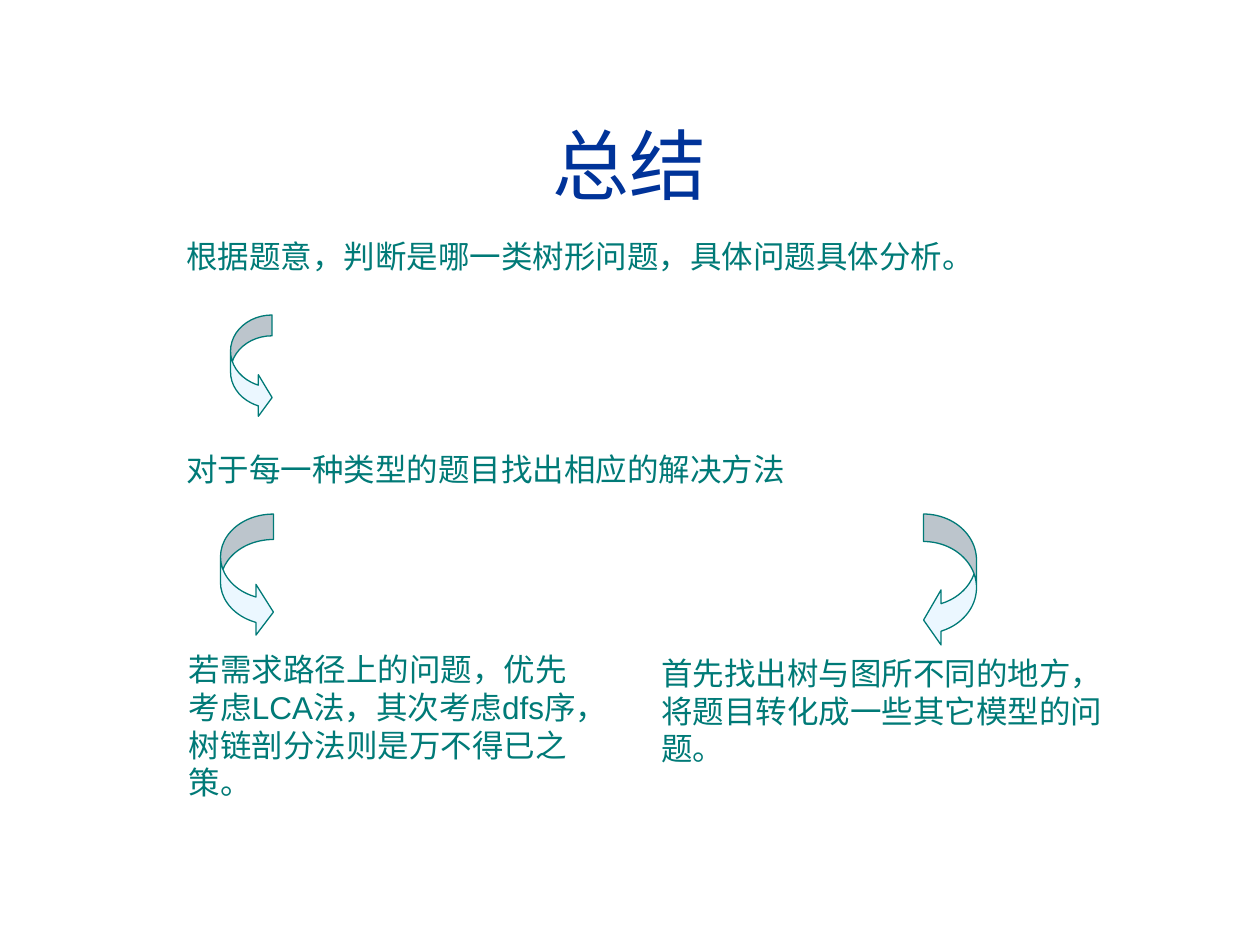
import pptx
import pptx.dml.color
import pptx.enum.shapes
import pptx.enum.text
import pptx.util

Inches = pptx.util.Inches
Pt = pptx.util.Pt
RGBColor = pptx.dml.color.RGBColor
SHAPE = pptx.enum.shapes.MSO_SHAPE
ALIGN = pptx.enum.text.PP_ALIGN
ANCHOR = pptx.enum.text.MSO_ANCHOR

NAVY = RGBColor(0x00, 0x33, 0x99)
TEAL = RGBColor(0x00, 0x7A, 0x77)
PALE = RGBColor(0xEB, 0xF7, 0xFF)

TITLE = {"name": "Arial", "size": Pt(44)}
BODY = {"name": "Arial", "size": Pt(18)}

STEPS = [
    ("根据题意，判断是哪一类树形问题，具体问题具体分析。", (1.38, 1.83, 7.62, 0.4), True),
    ("对于每一种类型的题目找出相应的解决方法", (1.38, 3.52, 4.95, 0.4), False),
    ("若需求路径上的问题，优先考虑LCA法，其次考虑dfs序，树链剖分法则是万不得已之策。",
     (1.4, 5.11, 3.35, 1.3), True),
    ("首先找出树与图所不同的地方，将题目转化成一些其它模型的问题。",
     (5.15, 5.14, 3.76, 1), True),
]

ARROWS = [
    (SHAPE.CURVED_RIGHT_ARROW, (1.83, 2.5, 0.33, 0.82), (0.5, 1, 0.33)),
    (SHAPE.CURVED_RIGHT_ARROW, (1.75, 4.08, 0.42, 0.98), (0.48, 0.96, 0.33)),
    (SHAPE.CURVED_LEFT_ARROW, (7.33, 4.08, 0.42, 1.06), (0.52, 1.04, 0.33)),
]


class Deck:
    def __init__(self, prs):
        self.s = prs.slides.add_slide(prs.slide_layouts[6])

    def text(self, text, box, style, color, wrap=True, align=ALIGN.LEFT, anchor=ANCHOR.TOP):
        tf = self.s.shapes.add_textbox(*map(Inches, box)).text_frame
        tf.word_wrap = wrap
        tf.vertical_anchor = anchor
        p = tf.paragraphs[0]
        p.alignment = align
        r = p.add_run()
        r.text = text
        for key, value in style.items():
            setattr(r.font, key, value)
        r.font.color.rgb = color

    def arrow(self, kind, box, adjustments):
        sp = self.s.shapes.add_shape(kind, *map(Inches, box))
        for i, value in enumerate(adjustments):
            sp.adjustments[i] = value
        sp.shadow.inherit = False
        sp.fill.solid()
        sp.fill.fore_color.rgb = PALE
        sp.line.color.rgb = TEAL
        sp.line.width = Pt(0.75)


def main():
    prs = pptx.Presentation()
    prs.slide_width, prs.slide_height = Inches(10), Inches(7.5)
    deck = Deck(prs)
    deck.text("总结", (0.33, 0.67, 9.34, 1.25), TITLE, NAVY,
              align=ALIGN.CENTER, anchor=ANCHOR.MIDDLE)
    for text, box, wrap in STEPS:
        deck.text(text, box, BODY, TEAL, wrap)
    for arrow in ARROWS:
        deck.arrow(*arrow)
    prs.save("out.pptx")


if __name__ == "__main__":
    main()
